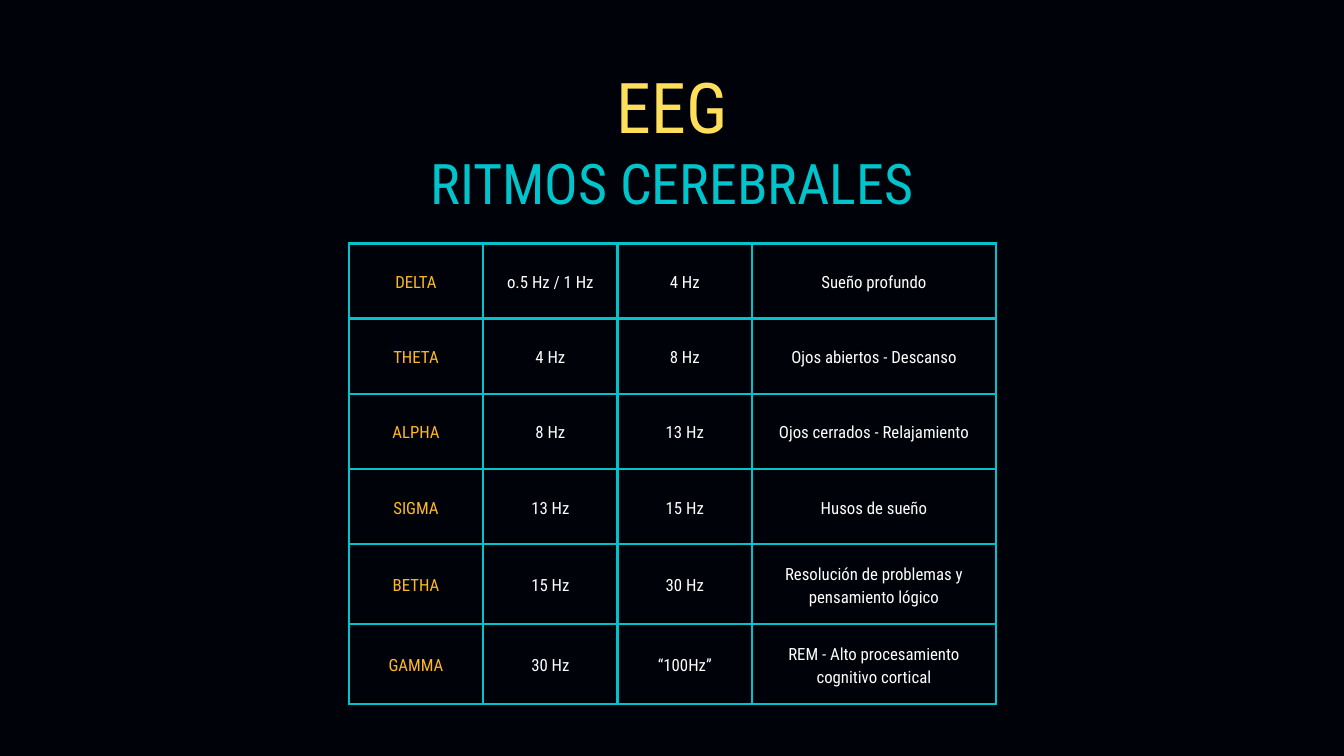
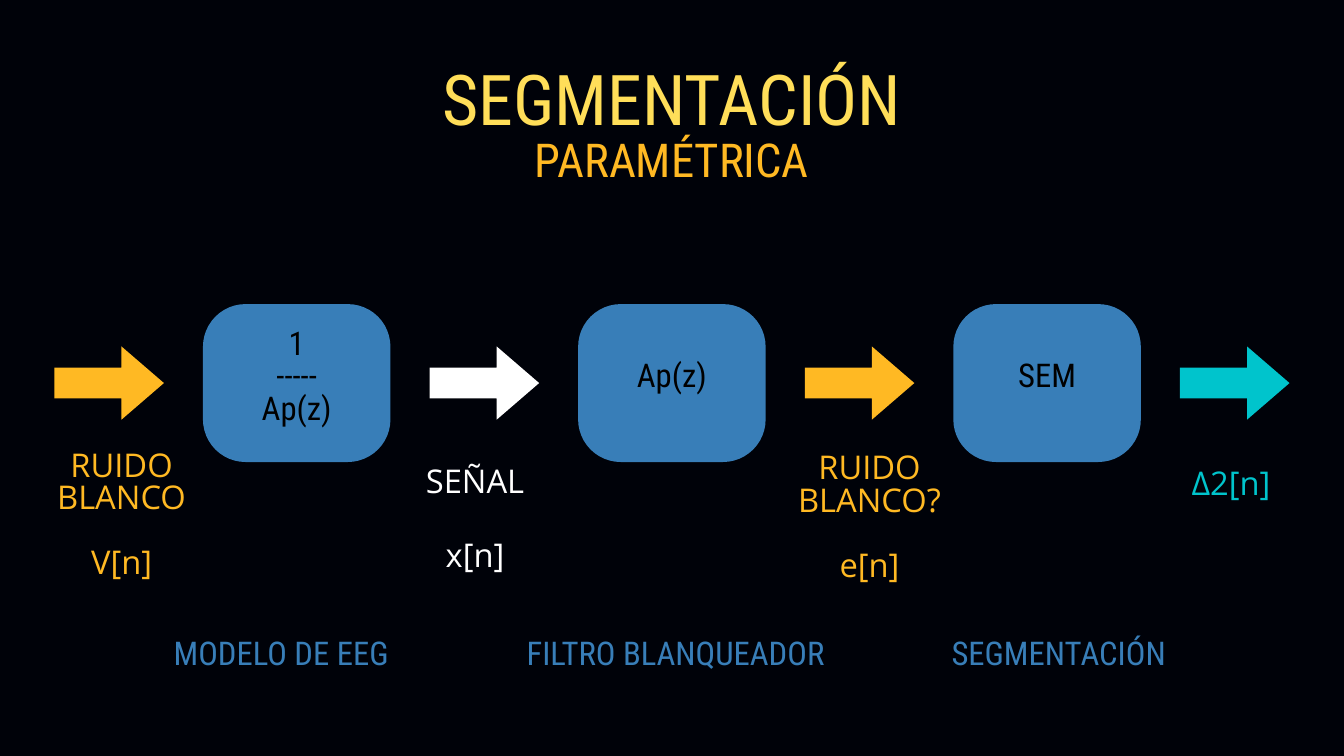
import pptx
import pptx.dml.color
import pptx.enum.shapes
import pptx.enum.text
import pptx.oxml
import pptx.util
from lxml import etree

WIDTH, HEIGHT = 20, 11.25
COLORS = {"night": "000209", "yellow": "FFDE59", "amber": "FFB923", "teal": "00C4CC",
          "blue": "387EB8", "white": "FFFFFF", "black": "000000"}
CONDENSED, OPEN = "Roboto Condensed", "Open Sans"
SHAPES = pptx.enum.shapes.MSO_SHAPE
NO_INSETS = (0, 0, 0, 0)

# Lines of text: (wording, size, line spacing, colour)
EEG_TITLES = [
    ((3, 0.73, 14, 1.65), [("EEG", 75, 105, "yellow")]),
    ((5.77, 2.05, 8.46, 1.32), [("RITMOS CEREBRALES", 60, 84, "teal")]),
]
SEGMENTATION_TITLES = [
    ((3, 1.04, 14, 1.99), [("SEGMENTACIÓN", 75, 75, "yellow"),
                           ("PARAMÉTRICA", 50, 50, "amber")]),
]

RHYTHMS = [
    ("DELTA", "o.5 Hz / 1 Hz", "4 Hz", "Sueño profundo"),
    ("THETA", "4 Hz", "8 Hz", "Ojos abiertos - Descanso"),
    ("ALPHA", "8 Hz", "13 Hz", "Ojos cerrados - Relajamiento"),
    ("SIGMA", "13 Hz", "15 Hz", "Husos de sueño"),
    ("BETHA", "15 Hz", "30 Hz", "Resolución de problemas y pensamiento lógico"),
    ("GAMMA", "30 Hz", "“100Hz”", "REM - Alto procesamiento cognitivo cortical"),
]
RHYTHM_ORIGIN = (5.19, 3.62)
RHYTHM_COLUMNS = [2, 2, 2, 3.63]
RHYTHM_ROWS = [1.12] * 4 + [1.19] * 2
CELL_INSET = 0.21

# Each signal: arrow colour, centre of its labels, then (wording, top, height)
SIGNALS = [
    ("amber", 1.81, [("RUIDO BLANCO", 6.71, 0.98), ("V[n]", 8.16, 0.5)]),
    ("white", 7.07, [("SEÑAL", 6.95, 0.5), ("x[n]", 8.05, 0.5)]),
    ("amber", 12.94, [("RUIDO BLANCO?", 6.75, 0.98), ("e[n]", 8.2, 0.5)]),
    ("teal", 18.32, [("∆2[n]", 6.99, 0.5)]),
]
# Each process: lines in its block, caption, left of the caption
PROCESSES = [
    (["1", "-----", "Ap(z)"], "MODELO DE EEG", 1.31),
    (["Ap(z)"], "FILTRO BLANQUEADOR", 7.18),
    (["SEM"], "SEGMENTACIÓN", 12.88),
]
STAGE_PITCH = 16.75 / 3
FLOW_CENTER = 5.7
ARROW_LEFT, ARROW_SIZE = 0.81, (1.63, 1.09)
ARROW_SHAFT, ARROW_HEAD = 0.42, 0.58
BLOCK_LEFT, BLOCK_SIZE, BLOCK_ROUNDING = 3.02, (2.79, 2.35), 0.27
BLOCK_INSETS = (0.06, 0.06, 0.06, 0.21)
# Narrow enough for every label to stay clear of the blocks
LABEL_WIDTH, FLOW_TEXT = 2.4, 35
CAPTION_TOP, CAPTION_SIZE = 9.51, (5.75, 0.62)


def rgb(name):
    return pptx.dml.color.RGBColor.from_string(COLORS[name])


def inches(values):
    return [pptx.util.Inches(value) for value in values]


def write(frame, lines, font=CONDENSED):
    """Fill a text frame with centred lines of exact spacing."""
    for index, (wording, size, spacing, color) in enumerate(lines):
        paragraph = frame.add_paragraph() if index else frame.paragraphs[0]
        paragraph.alignment = pptx.enum.text.PP_ALIGN.CENTER
        paragraph.line_spacing = pptx.util.Pt(spacing)
        run = paragraph.add_run()
        run.text = wording
        for name, value in {"name": font, "size": pptx.util.Pt(size)}.items():
            setattr(run.font, name, value)
        run.font.color.rgb = rgb(color)


def set_insets(holder, insets):
    for side, inset in zip(("left", "top", "right", "bottom"), insets):
        setattr(holder, f"margin_{side}", pptx.util.Inches(inset))


def add_text(slide, place, lines, font=CONDENSED):
    frame = slide.shapes.add_textbox(*inches(place)).text_frame
    frame.word_wrap = True
    set_insets(frame, NO_INSETS)
    write(frame, lines, font)


def add_flow_shape(slide, preset, left, size, color, adjustments):
    """Add a plain filled shape centred on the flow's axis."""
    place = (left, FLOW_CENTER - size[1] / 2, *size)
    shape = slide.shapes.add_shape(preset, *inches(place))
    shape.shadow.inherit = False
    shape.fill.solid()
    shape.fill.fore_color.rgb = rgb(color)
    shape.line.fill.background()
    for index, value in enumerate(adjustments):
        shape.adjustments[index] = value
    return shape


def add_borders(cell, color, points):
    properties = cell._tc.get_or_add_tcPr()
    for side in "LRTB":
        line = etree.SubElement(properties, pptx.oxml.ns.qn(f"a:ln{side}"),
                                w=str(pptx.util.Pt(points)))
        fill = etree.SubElement(line, pptx.oxml.ns.qn("a:solidFill"))
        etree.SubElement(fill, pptx.oxml.ns.qn("a:srgbClr"), val=COLORS[color])


def add_slide(deck, titles):
    slide = deck.slides.add_slide(deck.slide_layouts[6])
    slide.background.fill.solid()
    slide.background.fill.fore_color.rgb = rgb("night")
    for place, lines in titles:
        add_text(slide, place, lines)
    return slide


def add_rhythms(slide):
    size = (sum(RHYTHM_COLUMNS), sum(RHYTHM_ROWS))
    table = slide.shapes.add_table(len(RHYTHM_ROWS), len(RHYTHM_COLUMNS),
                                   *inches(RHYTHM_ORIGIN + size)).table
    table.first_row = table.horz_banding = False
    for column, width in zip(table.columns, RHYTHM_COLUMNS):
        column.width = pptx.util.Inches(width)
    for row, height, rhythm in zip(table.rows, RHYTHM_ROWS, RHYTHMS):
        row.height = pptx.util.Inches(height)
        for index, (cell, wording) in enumerate(zip(row.cells, rhythm)):
            add_borders(cell, "teal", 3)
            cell.fill.background()
            cell.vertical_anchor = pptx.enum.text.MSO_ANCHOR.MIDDLE
            set_insets(cell, [CELL_INSET] * 4)
            write(cell.text_frame, [(wording, 18, 25.2, "white" if index else "amber")])


def add_signals(slide):
    for stage, (color, label_center, labels) in enumerate(SIGNALS):
        add_flow_shape(slide, SHAPES.RIGHT_ARROW, ARROW_LEFT + stage * STAGE_PITCH,
                       ARROW_SIZE, color, (ARROW_SHAFT, ARROW_HEAD))
        for wording, top, height in labels:
            add_text(slide, (label_center - LABEL_WIDTH / 2, top, LABEL_WIDTH, height),
                     [(wording, FLOW_TEXT, FLOW_TEXT, color)], OPEN)


def add_processes(slide):
    for stage, (formula, caption, caption_left) in enumerate(PROCESSES):
        block = add_flow_shape(slide, SHAPES.ROUNDED_RECTANGLE,
                               BLOCK_LEFT + stage * STAGE_PITCH,
                               BLOCK_SIZE, "blue", (BLOCK_ROUNDING,))
        frame = block.text_frame
        frame.word_wrap = True
        frame.vertical_anchor = pptx.enum.text.MSO_ANCHOR.MIDDLE
        set_insets(frame, BLOCK_INSETS)
        write(frame, [(line, FLOW_TEXT, FLOW_TEXT, "black") for line in formula])
        add_text(slide, (caption_left, CAPTION_TOP, *CAPTION_SIZE),
                 [(caption, FLOW_TEXT, FLOW_TEXT, "blue")])


def main():
    deck = pptx.Presentation()
    deck.slide_width, deck.slide_height = inches((WIDTH, HEIGHT))
    add_rhythms(add_slide(deck, EEG_TITLES))
    segmentation = add_slide(deck, SEGMENTATION_TITLES)
    add_signals(segmentation)
    add_processes(segmentation)
    deck.save("out.pptx")


if __name__ == "__main__":
    main()
